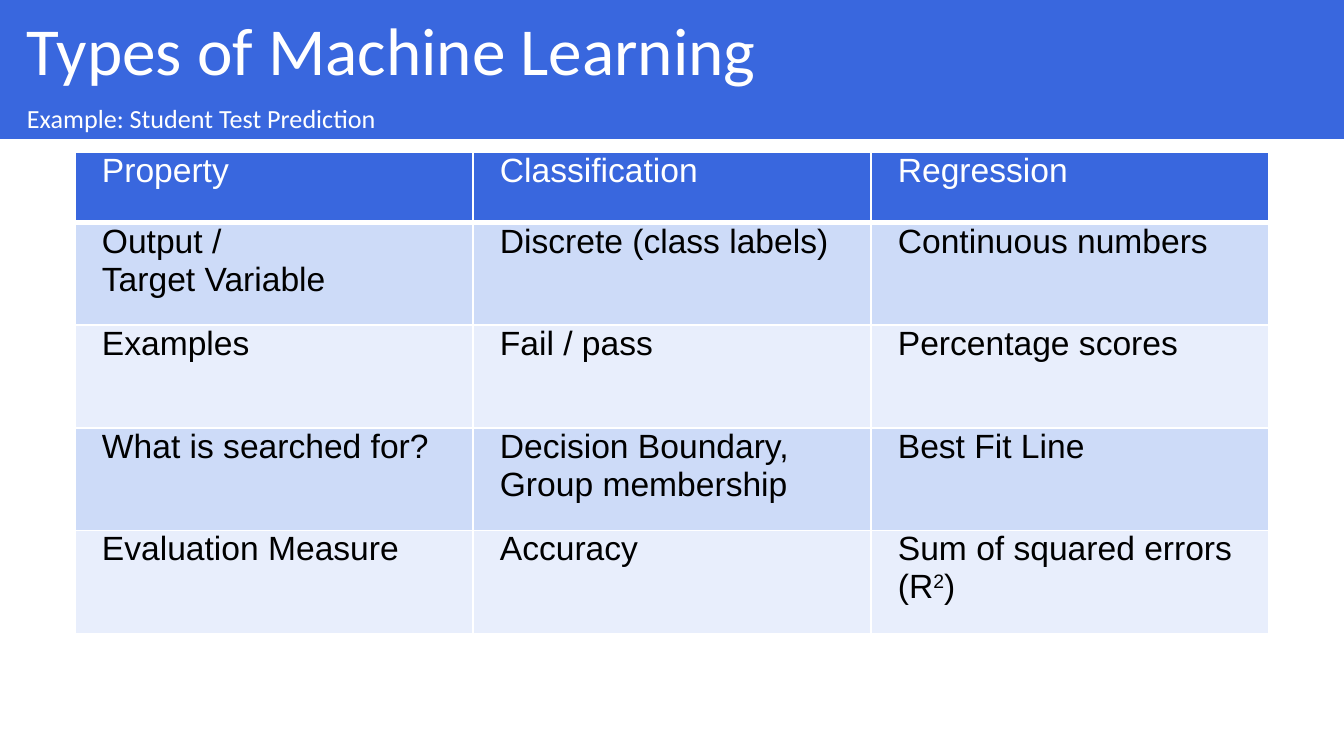
import dataclasses

import lxml.etree
import pptx
import pptx.dml.color
import pptx.enum.shapes
import pptx.enum.text
import pptx.oxml.ns
import pptx.util

PIXEL = 914400 / 134.4


def px(length):
    return pptx.util.Emu(round(length * PIXEL))


def rgb(value):
    return pptx.dml.color.RGBColor.from_string(value)


@dataclasses.dataclass(frozen=True)
class Theme:
    blue: str = "3967DE"
    band_dark: str = "CDDBF8"
    band_light: str = "E8EEFC"
    white: str = "FFFFFF"
    black: str = "000000"
    heading_font: str = "Calibri"
    table_font: str = "Arial"
    title_size: int = 36
    subtitle_size: int = 14
    table_size: int = 18


def write_text(frame, text, *, font, size, color, before=0):
    for index, line in enumerate(text.split("\n")):
        para = frame.add_paragraph() if index else frame.paragraphs[0]
        para.alignment = pptx.enum.text.PP_ALIGN.LEFT
        para.space_before = pptx.util.Pt(before)
        for position, piece in enumerate(line.split("^")):
            span = para.add_run()
            span.text = piece
            span.font.name = font
            span.font.size = pptx.util.Pt(size)
            span.font.color.rgb = rgb(color)
            if position % 2:
                span.font._element.set("baseline", "30000")


class SlideBuilder:
    def __init__(self, deck, theme):
        self.theme = theme
        self.page = deck.slides.add_slide(deck.slide_layouts[6])

    def banner(self, top, height, text, size, before):
        box = self.page.shapes.add_shape(
            pptx.enum.shapes.MSO_SHAPE.RECTANGLE, 0, px(top), px(1344), px(height))
        box.shadow.inherit = False
        box.fill.solid()
        box.fill.fore_color.rgb = rgb(self.theme.blue)
        box.line.fill.background()
        frame = box.text_frame
        frame.word_wrap = True
        frame.vertical_anchor = pptx.enum.text.MSO_ANCHOR.MIDDLE
        frame.margin_left, frame.margin_right = px(27), px(13)
        frame.margin_top = frame.margin_bottom = px(7)
        write_text(frame, text, font=self.theme.heading_font, size=size,
                   color=self.theme.white, before=before)

    def borders(self, cell, bottom):
        properties = cell._tc.get_or_add_tcPr()
        widths = {"lnL": 1, "lnR": 1, "lnT": 1, "lnB": bottom}
        for index, (tag, width) in enumerate(widths.items()):
            line = lxml.etree.Element(pptx.oxml.ns.qn("a:" + tag),
                                      w=str(pptx.util.Pt(width)))
            fill = lxml.etree.SubElement(line, pptx.oxml.ns.qn("a:solidFill"))
            lxml.etree.SubElement(fill, pptx.oxml.ns.qn("a:srgbClr"),
                                  val=self.theme.white)
            properties.insert(index, line)

    def table(self, left, top, column_width, row_heights, rows):
        theme = self.theme
        columns = len(rows[0])
        table = self.page.shapes.add_table(
            len(rows), columns, px(left), px(top),
            px(column_width * columns), px(sum(row_heights))).table
        table.first_row = table.horz_banding = False
        for column in table.columns:
            column.width = px(column_width)
        for index, (texts, height) in enumerate(zip(rows, row_heights)):
            table.rows[index].height = px(height)
            header = index == 0
            band = theme.band_dark if index % 2 else theme.band_light
            for cell, text in zip(table.rows[index].cells, texts):
                cell.fill.solid()
                cell.fill.fore_color.rgb = rgb(theme.blue if header else band)
                cell.margin_left = cell.margin_right = cell.margin_bottom = px(27)
                cell.margin_top = 0
                cell.vertical_anchor = pptx.enum.text.MSO_ANCHOR.TOP
                self.borders(cell, bottom=3 if header else 1)
                write_text(cell.text_frame, text, font=theme.table_font,
                           size=theme.table_size,
                           color=theme.white if header else theme.black)


COMPARISON = [
    ("Property", "Classification", "Regression"),
    ("Output /\nTarget Variable", "Discrete (class labels)", "Continuous numbers"),
    ("Examples", "Fail / pass", "Percentage scores"),
    ("What is searched for?", "Decision Boundary,\nGroup membership", "Best Fit Line"),
    ("Evaluation Measure", "Accuracy", "Sum of squared errors\n(R^2^)"),
]


def main():
    deck = pptx.Presentation()
    deck.slide_width, deck.slide_height = px(1344), px(756)
    theme = Theme()
    slide = SlideBuilder(deck, theme)
    slide.banner(0, 97, "Types of Machine Learning", theme.title_size, before=7)
    slide.banner(97, 42, "Example: Student Test Prediction",
                 theme.subtitle_size, before=3)
    slide.table(75, 152, 398, [71, 102, 103, 102, 103], COMPARISON)
    deck.save("out.pptx")


main()
